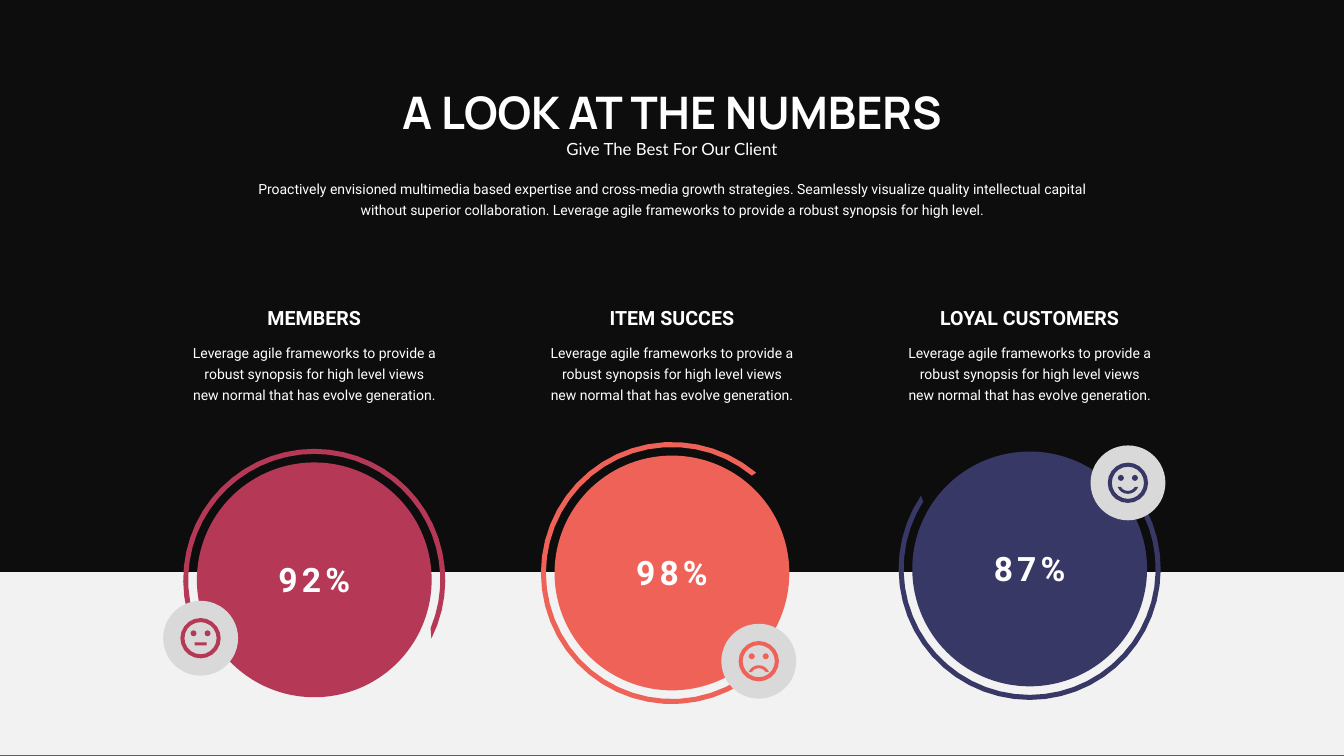
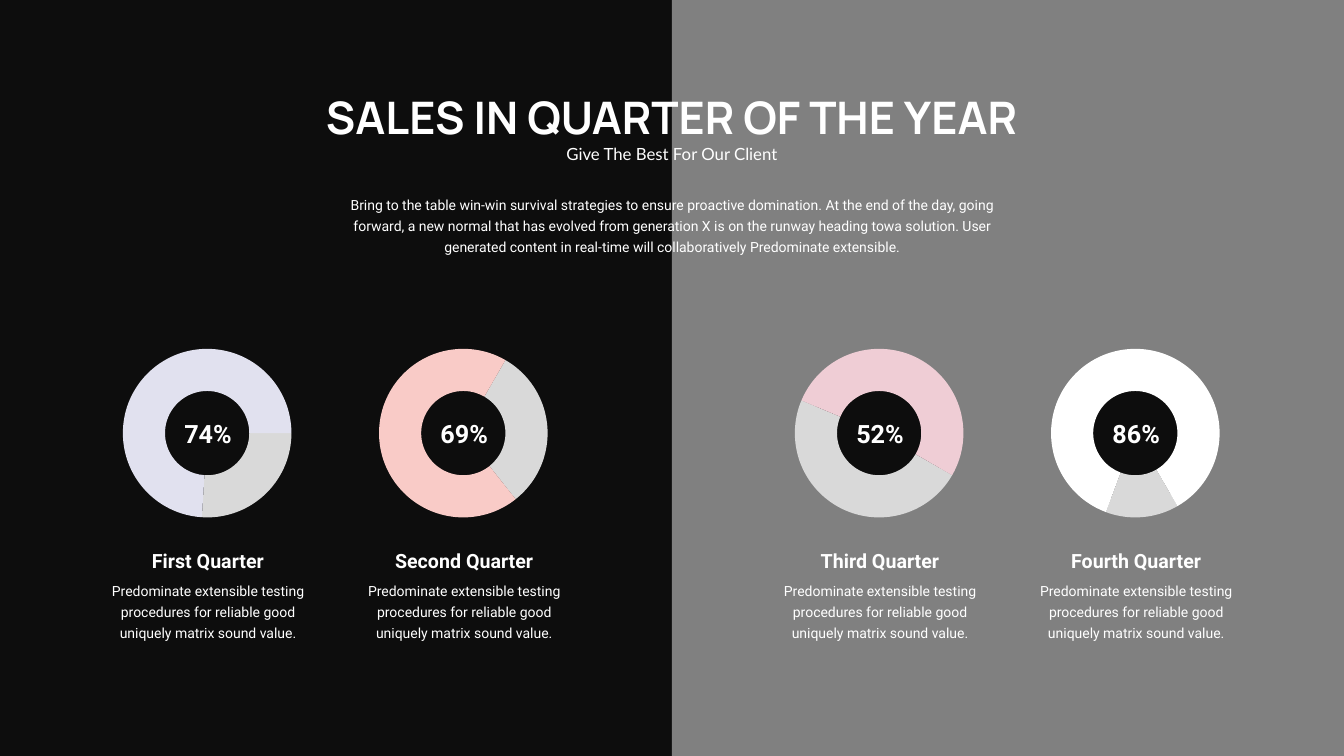
"""Build two dark slides of key figures: rated rings and quarterly doughnuts."""
import dataclasses
import math

import pptx
import pptx.chart.data
import pptx.dml.color
import pptx.enum.chart
import pptx.enum.shapes
import pptx.enum.text
import pptx.oxml
import pptx.oxml.ns
import pptx.util

Pt = pptx.util.Pt
RGB = pptx.dml.color.RGBColor.from_string
SHAPE = pptx.enum.shapes.MSO_SHAPE
qn = pptx.oxml.ns.qn


@dataclasses.dataclass(frozen=True)
class Theme:
    dark: str = "0D0D0D"
    light: str = "F2F2F2"
    mid: str = "808080"
    grey: str = "D9D9D9"
    white: str = "FFFFFF"
    berry: str = "B53957"
    coral: str = "EF6257"
    navy: str = "383866"
    lilac: str = "E1E1EF"
    peach: str = "F9CBC7"
    rose: str = "EFCDD5"
    title_font: str = "Manrope"
    subtitle_font: str = "Lato"
    body_font: str = "Roboto"
    chart_font: str = "Calibri"
    title: int = 32
    figure: int = 24
    percent: int = 18
    heading: int = 14
    subtitle: int = 12
    body: int = 10


T = Theme()


def add_text(s, text, cx, top, width, height, size, font=T.body_font,
             bold=False, leading=None, middle=False, spacing=0):
    """Add a centred white text box around the vertical axis cx."""
    box = s.shapes.add_textbox(Pt(cx - width / 2), Pt(top), Pt(width), Pt(height))
    tf = box.text_frame
    tf.word_wrap = True
    tf.margin_left = tf.margin_right = tf.margin_top = tf.margin_bottom = 0
    if middle:
        tf.vertical_anchor = pptx.enum.text.MSO_ANCHOR.MIDDLE
    p = tf.paragraphs[0]
    p.alignment = pptx.enum.text.PP_ALIGN.CENTER
    if leading:
        p.line_spacing = Pt(leading)
    r = p.add_run()
    r.text = text
    r.font.name, r.font.size, r.font.bold = font, Pt(size), bold
    r.font.color.rgb = RGB(T.white)
    if spacing:
        r.font._element.set("spc", str(spacing * 100))


def add_shape(s, kind, cx, cy, width, height, color, outlines=()):
    """Add a plain shape centred on (cx, cy), or one outline of arcs around it."""
    builder = None
    for arcs in outlines:
        points = []
        for dx, dy, radius, start, end, steps in arcs:
            for i in range(steps + 1):
                angle = math.radians(start + (end - start) * i / steps)
                points.append((Pt(cx + dx + radius * math.cos(angle)),
                               Pt(cy + dy + radius * math.sin(angle))))
        if builder is None:
            builder = s.shapes.build_freeform(*points[0])
        else:
            builder.move_to(*points[0])
        builder.add_line_segments(points[1:], close=True)
    if builder is None:
        sp = s.shapes.add_shape(kind, Pt(cx - width / 2), Pt(cy - height / 2),
                                Pt(width), Pt(height))
    else:
        sp = builder.convert_to_shape()
    sp.shadow.inherit = False
    sp.fill.solid()
    sp.fill.fore_color.rgb = RGB(color)
    sp.line.fill.background()
    return sp


prs = pptx.Presentation()
prs.slide_width, prs.slide_height = Pt(960), Pt(540)
slides = [prs.slides.add_slide(prs.slide_layouts[6]) for _ in range(2)]
backdrop = add_shape(slides[0], SHAPE.RECTANGLE, 480, 270, 960, 540, T.dark)
prs.slide_master.shapes.element.insert(2, backdrop.element)

headers = [
    ("A LOOK AT THE NUMBERS", 63.4, 126, 599,
     "Proactively envisioned multimedia based expertise and cross-media growth "
     "strategies. Seamlessly visualize quality intellectual capital without superior "
     "collaboration. Leverage agile frameworks to provide a robust synopsis for high level.",
     (480, 474.1, 960, 131, T.light)),
    ("SALES IN QUARTER OF THE YEAR", 67, 137.5, 464.4,
     "Bring to the table win-win survival strategies to ensure proactive domination. "
     "At the end of the day, going forward, a new normal that has evolved from generation X "
     "is on the runway heading towa solution. User generated content in real-time will "
     "collaboratively Predominate extensible.",
     (720, 270, 480, 540, T.mid)),
]
for s, (title, title_top, intro_top, intro_width, intro, panel) in zip(slides, headers):
    add_shape(s, SHAPE.RECTANGLE, *panel)
    add_text(s, title, 480, title_top, 522, 35.3, T.title, T.title_font,
             bold=True, leading=35, middle=True)
    add_text(s, "Give The Best For Our Client", 480, title_top + 35.9, 320, 14.4,
             T.subtitle, T.subtitle_font)
    add_text(s, intro, 480, intro_top, intro_width, 44, T.body, leading=15)

s = slides[0]
ratings = [
    ("MEMBERS", "92%", T.berry, 414.2, (153.4, 386.6, 4), (143.3, 455.9), "neutral"),
    ("ITEM SUCCES", "98%", T.coral, 409.3, (50, 310, 0.6), (542, 472.3), "sad"),
    ("LOYAL CUSTOMERS", "87%", T.navy, 406.4, (-34, 214, 1.7), (805.7, 344.9), "happy"),
]
mouths = {
    "happy": [(0, 0, 7.9, 22, 158, 8), (0, 0, 5.8, 150, 30, 8)],
    "sad": [(0, 10.8, 7.9, 202, 338, 8), (0, 10.8, 5.8, 330, 210, 8)],
    "neutral": [(0, 4, 4.4, 14, 166, 1), (0, 4, 4.4, 194, 346, 1)],
}
face = [[(0, 0, 14.4, 0, 342, 19)], [(0, 0, 11.5, 0, 342, 19)],
        [(-5, -3.5, 2.15, 0, 315, 7)], [(5, -3.5, 2.15, 0, 315, 7)]]
for i, (heading, figure, color, cy, ring, (bx, by), mood) in enumerate(ratings):
    cx = 480 + (i - 1) * 255.5
    start, end, taper = ring
    add_text(s, heading, cx, 218.2, 175.7, 17, T.heading, bold=True)
    add_text(s, "Leverage agile frameworks to provide a robust synopsis for high level "
             "views new normal that has evolve generation.",
             cx, 243.2, 175.7, 44, T.body, leading=15)
    add_shape(s, SHAPE.OVAL, cx, cy, 167.7, 167.7, color)
    add_shape(s, None, cx, cy, 0, 0, color,
              [[(0, 0, 93.6, start, end, 36), (0, 0, 90, end - taper, start + taper, 36)]])
    add_text(s, figure, cx, cy - 18.7, 79, 36, T.figure, bold=True, middle=True, spacing=3)
    add_shape(s, SHAPE.OVAL, bx, by, 53.5, 53.5, T.grey)
    add_shape(s, None, bx, by, 0, 0, color, face + [mouths[mood]])

s = slides[1]
quarters = [
    ("First Quarter", 74, T.lilac, 90, 80),
    ("Second Quarter", 69, T.peach, 30, 80),
    ("Third Quarter", 52, T.rose, 120, 80),
    ("Fourth Quarter", 86, T.white, 150, 81),
]
for i, (heading, share, color, start, hole) in enumerate(quarters):
    cx = 148.6 + i // 2 * 480 + i % 2 * 183
    add_shape(s, SHAPE.OVAL, cx, 309.5, 99.4, 99.4, T.dark)

    data = pptx.chart.data.CategoryChartData()
    data.categories = ["1", "2"]
    data.add_series("Series 1", (100 - share, share))
    chart = s.shapes.add_chart(pptx.enum.chart.XL_CHART_TYPE.DOUGHNUT, Pt(cx - 60.85),
                               Pt(248.6), Pt(121.7), Pt(121.7), data).chart
    chart.has_legend = chart.has_title = False
    chart.font.name, chart.font.size = T.chart_font, Pt(T.body)
    chart.font.color.rgb = RGB(T.coral)
    plot = chart.plots[0]
    plot.vary_by_categories = True
    for j, fill in enumerate((T.grey, color)):
        point = plot.series[0].points[j].format
        point.fill.solid()
        point.fill.fore_color.rgb = RGB(fill)
        point.line.fill.background()

    root = chart.element
    root.find(".//" + qn("c:firstSliceAng")).set("val", str(start))
    root.find(".//" + qn("c:holeSize")).set("val", str(hole))
    area = root.find(".//" + qn("c:plotArea"))
    for layout in area.findall(qn("c:layout")):
        area.remove(layout)
    ns = pptx.oxml.ns.nsdecls("c", "a")
    area.insert(0, pptx.oxml.parse_xml(
        f'<c:layout {ns}><c:manualLayout><c:layoutTarget val="inner"/>'
        '<c:xMode val="edge"/><c:yMode val="edge"/><c:x val="0"/><c:y val="0"/>'
        '<c:w val="0.99"/><c:h val="1"/></c:manualLayout></c:layout>'))
    root.find(qn("c:chart")).addnext(pptx.oxml.parse_xml(
        f"<c:spPr {ns}><a:noFill/><a:ln><a:noFill/></a:ln></c:spPr>"))

    add_text(s, f"{share}%", cx, 295.2, 50.4, 28.8, T.percent, bold=True, middle=True)
    add_text(s, heading, cx, 392.4, 141, 17, T.heading, bold=True)
    add_text(s, "Predominate extensible testing procedures for reliable good uniquely "
             "matrix sound value.", cx, 413.2, 141, 44, T.body, leading=15)

prs.save("out.pptx")
